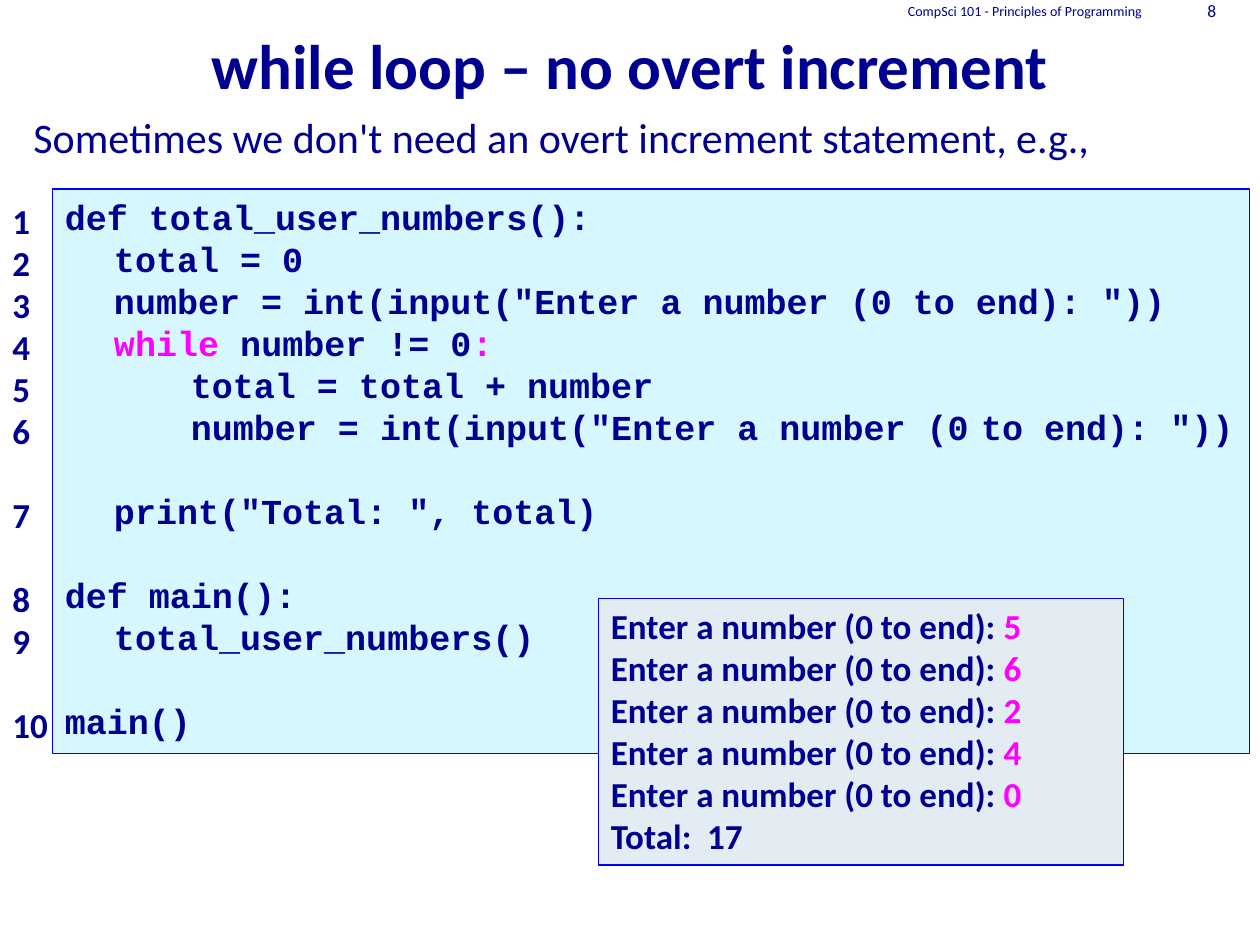
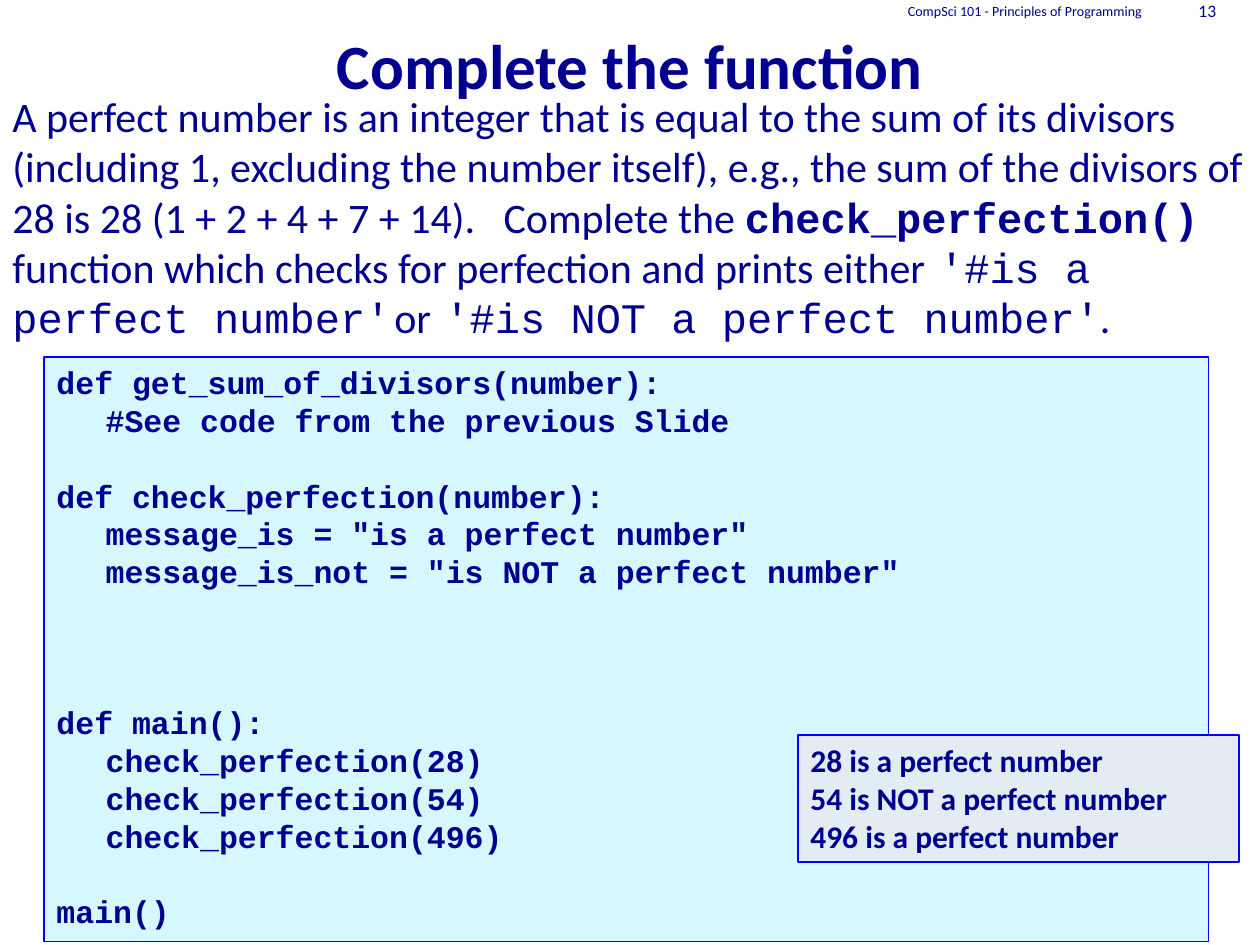
from pptx import Presentation
from pptx.dml.color import RGBColor
from pptx.enum.shapes import MSO_SHAPE
from pptx.enum.text import MSO_ANCHOR, PP_ALIGN
from pptx.util import Inches, Pt

# Shared style
NAVY = RGBColor(0x00, 0x00, 0x90)
MAGENTA = RGBColor(0xFF, 0x00, 0xFF)
BLUE = RGBColor(0x00, 0x00, 0xFF)
CODE_FILL = RGBColor(0xD7, 0xF7, 0xFF)
OUTPUT_FILL = RGBColor(0xE3, 0xEB, 0xF3)
TEXT_FONT = "Calibri"
CODE_FONT = "Courier New"
COURSE = "CompSci 101 - Principles of Programming"
COLUMNS, ROWS = 120, 90
LINE_HEIGHT = 1.2
CODE_INDENTS = (0, 0.39, 1)


class Deck:
    """Keeps the lecture style and the current slide; places are in grid units."""

    def __init__(self):
        self.presentation = Presentation()
        self.presentation.slide_width = Inches(10)
        self.presentation.slide_height = Inches(7.5)
        self.slide = None

    def place(self, left, top, width, height):
        column = self.presentation.slide_width / COLUMNS
        row = self.presentation.slide_height / ROWS
        return (round(left * column), round(top * row),
                round(width * column), round(height * row))

    def add_slide(self, title, number):
        self.slide = self.presentation.slides.add_slide(
            self.presentation.slide_layouts[5])
        shape = self.slide.shapes.title
        shape.left, shape.top, shape.width, shape.height = self.place(0, 0, 120, 10)
        frame = shape.text_frame
        frame.vertical_anchor = MSO_ANCHOR.BOTTOM
        frame.margin_bottom = Inches(0.02)
        frame.paragraphs[0].alignment = PP_ALIGN.CENTER
        self.add_run(frame.paragraphs[0], title, 36, bold=True)
        self.header(COURSE, 74, 36, 8)
        self.header(str(number), 110, 7, 10)

    def add_run(self, paragraph, text, size, font=TEXT_FONT, bold=False, color=NAVY):
        run = paragraph.add_run()
        run.text = text
        run.font.size = Pt(size)
        run.font.name = font
        run.font.bold = bold
        run.font.color.rgb = color

    def add_lines(self, shape, lines, size, font=TEXT_FONT, bold=False):
        """Each line is (indent level, blank rows above, runs); a run is (text, changes)."""
        frame = shape.text_frame
        frame.word_wrap = True
        for index, (level, rows_above, runs) in enumerate(lines):
            paragraph = frame.paragraphs[0] if index == 0 else frame.add_paragraph()
            paragraph.alignment = PP_ALIGN.LEFT
            paragraph.line_spacing = Pt(size * LINE_HEIGHT)
            paragraph.space_before = Pt(rows_above * size * LINE_HEIGHT)
            properties = paragraph._p.get_or_add_pPr()
            properties.set("marL", str(Inches(CODE_INDENTS[level])))
            properties.set("indent", "0")
            for text, changes in runs:
                style = {"size": size, "font": font, "bold": bold} | changes
                self.add_run(paragraph, text, **style)

    def header(self, text, left, width, size):
        box = self.slide.shapes.add_textbox(*self.place(left, 0, width, 2))
        frame = box.text_frame
        frame.word_wrap = True
        frame.vertical_anchor = MSO_ANCHOR.MIDDLE
        frame.paragraphs[0].alignment = PP_ALIGN.RIGHT
        self.add_run(frame.paragraphs[0], text, size)

    def text(self, place, lines, size, bold=False):
        box = self.slide.shapes.add_textbox(*self.place(*place))
        self.add_lines(box, lines, size, bold=bold)

    def panel(self, place, lines, size, fill, font):
        shape = self.slide.shapes.add_shape(MSO_SHAPE.RECTANGLE, *self.place(*place))
        shape.shadow.inherit = False
        shape.fill.solid()
        shape.fill.fore_color.rgb = fill
        shape.line.color.rgb = BLUE
        shape.line.width = Pt(0.75)
        shape.text_frame.vertical_anchor = MSO_ANCHOR.TOP
        self.add_lines(shape, lines, size, font, bold=True)

    def code(self, place, lines, size):
        self.panel(place, lines, size, CODE_FILL, CODE_FONT)

    def output(self, place, lines, size):
        self.panel(place, lines, size, OUTPUT_FILL, TEXT_FONT)


def line(text, level=0, rows_above=0):
    return level, rows_above, [(text, {})]


def while_loop_slide(deck):
    deck.add_slide("while loop – no overt increment", 8)
    deck.text((2, 10, 115, 6), [
        line("Sometimes we don't need an overt increment statement, e.g.,")], 24)

    # Line numbers beside the code
    deck.text((0, 18.4, 13, 53.8), [
        line(str(number), rows_above=int(number in (7, 8, 10)))
        for number in range(1, 11)], 20, bold=True)

    # Program
    highlight = {"color": MAGENTA}
    deck.code((5, 18, 114, 53.8), [
        line("def total_user_numbers():"),
        line("total = 0", 1),
        line('number = int(input("Enter a number (0 to end): "))', 1),
        (1, 0, [("while ", highlight), ("number != 0", {}), (":", highlight)]),
        line("total = total + number", 2),
        (2, 0, [('number = int(input("Enter a number (0', {}), (" ", {"size": 11}),
                ('to end): "))', {})]),
        line('print("Total: ", total)', 1, 1),
        line("def main():", 0, 1),
        line("total_user_numbers()", 1),
        line("main()", 0, 1)], 20)

    # Sample run
    answers = [(0, 0, [("Enter a number (0 to end): ", {}), (answer, highlight)])
               for answer in "56240"]
    deck.output((57, 57, 50, 25.4), answers + [line("Total:  17")], 20)


def perfect_number_slide(deck):
    deck.add_slide("Complete the function", 13)
    code, thin_space = {"font": CODE_FONT}, (" ", {"size": 10})
    deck.text((0, 8, 120, 26), [(0, 0, [
        ("A perfect number is an integer that is equal to the sum of its divisors "
         "(including 1, excluding the number itself), e.g., the sum of the divisors "
         "of 28 is 28 (1 + 2 + 4 + 7 + 14).   Complete the ", {}),
        ("check_perfection() ", code | {"bold": True}),
        ("function which checks for perfection and prints either ", {}),
        thin_space, ("'#is a perfect number'", code),
        thin_space, ("or ", {}),
        thin_space, ("'#is NOT a perfect number'", code), (".", {})])], 24)

    # Program with room for the answer
    calls = [line(f"check_perfection({number})", 1) for number in (28, 54, 496)]
    deck.code((4.2, 34, 110.9, 55.7), [
        line("def get_sum_of_divisors(number):"),
        line("#See code from the previous Slide", 1),
        line("def check_perfection(number):", 0, 1),
        line('message_is = "is a perfect number"', 1),
        line('message_is_not = "is NOT a perfect number"', 1),
        line("def main():", 0, 3),
        *calls,
        line("main()", 0, 1)], 18)

    # Sample run
    deck.output((76, 70, 42, 12.1), [
        line("28 is a perfect number"),
        line("54 is NOT a perfect number"),
        line("496 is a perfect number")], 18)


def main():
    deck = Deck()
    while_loop_slide(deck)
    perfect_number_slide(deck)
    deck.presentation.save("out.pptx")


if __name__ == "__main__":
    main()
